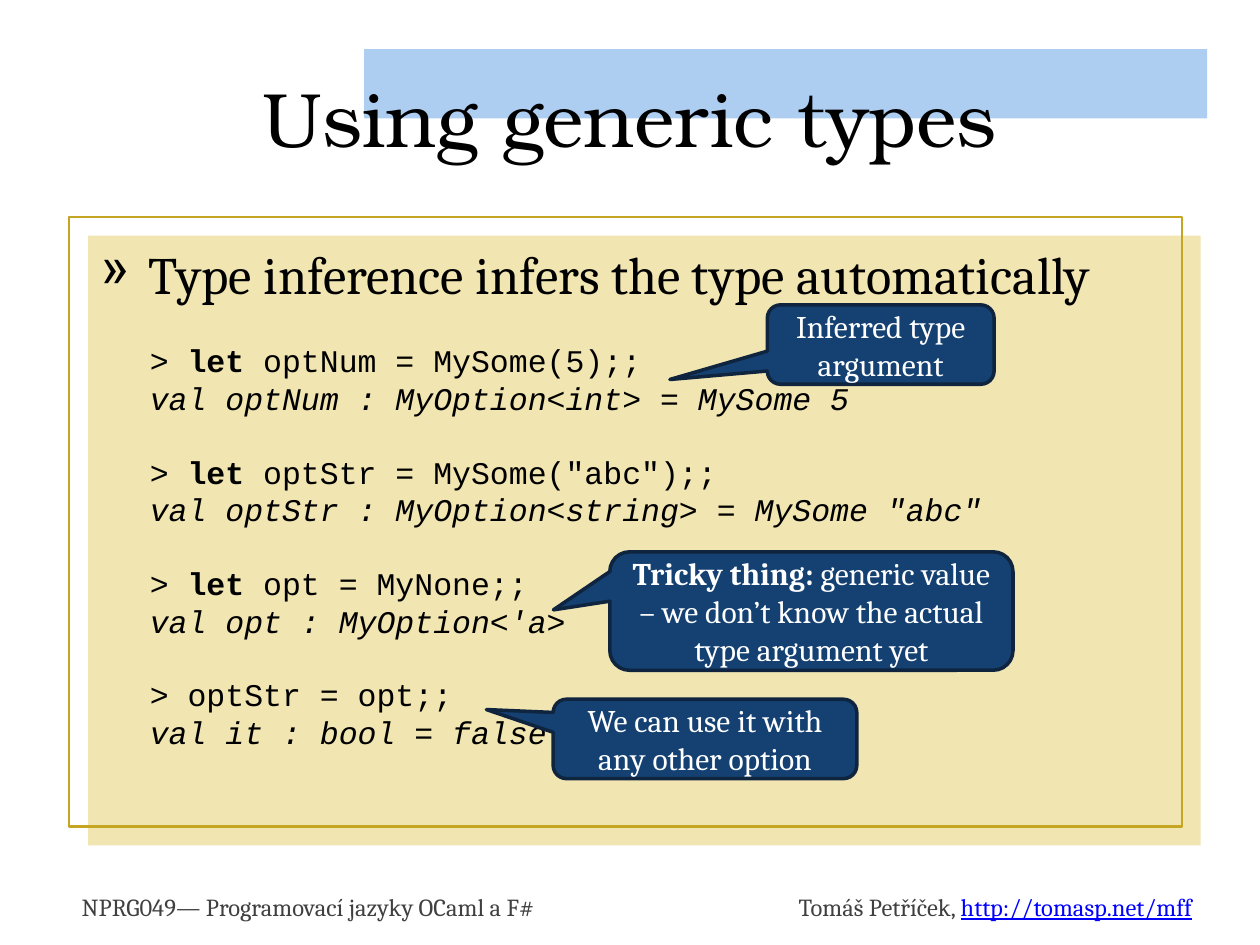
"""Build the slide on using generic types in F#."""
from dataclasses import dataclass

from lxml.etree import SubElement
from pptx import Presentation
from pptx.dml.color import RGBColor
from pptx.enum.shapes import MSO_SHAPE as Preset
from pptx.enum.text import MSO_ANCHOR as Anchor, MSO_AUTO_SIZE as AutoSize, PP_ALIGN as Align
from pptx.oxml.ns import qn
from pptx.util import Inches, Pt

SERIF = "Cambria"
MONO = "Courier New"
TITLE_FONT = "TeX Gyre Bonum"
BLACK, WHITE, GREY, LINK = "000000", "FFFFFF", "404040", "0000FF"
PALE_BLUE, NAVY, DARK_NAVY = "ADCDF1", "144172", "0F243E"
CREAM, GOLD = "F1E5B1", "C5A623"
CODE_LINE = 20.4


@dataclass
class Area:
    left: float
    top: float
    width: float
    height: float

    def inches(self) -> tuple:
        return tuple(Inches(v) for v in (self.left, self.top, self.width, self.height))


@dataclass
class Span:
    text: str
    bold: bool = False


@dataclass
class Callout:
    area: Area
    tip: tuple[float, float]
    spans: list[Span]


@dataclass
class Exchange:
    prompt: list[Span]
    reply: str


CALLOUTS = [
    Callout(Area(6.09, 2.42, 1.8, 0.63), (-0.93, 0.44), [Span("Inferred type argument")]),
    Callout(Area(4.84, 4.38, 3.2, 0.94), (-0.64, -0.01),
            [Span("Tricky thing: ", True),
             Span("generic value – we don’t know the actual type argument yet")]),
    Callout(Area(4.39, 5.55, 2.41, 0.63), (-0.72, -0.37),
            [Span("We can use it with any other option")]),
]


def binding(code: str) -> list[Span]:
    return [Span("> "), Span("let ", True), Span(code)]


SESSION = [
    Exchange(binding("optNum = MySome(5);;"), "val optNum : MyOption<int> = MySome 5"),
    Exchange(binding('optStr = MySome("abc");;'),
             'val optStr : MyOption<string> = MySome "abc"'),
    Exchange(binding("opt = MyNone;;"), "val opt : MyOption<'a>"),
    Exchange([Span("> optStr = opt;;")], "val it : bool = false"),
]


def color(value: str) -> RGBColor:
    return RGBColor.from_string(value)


def format_para(para, font: str, size: float, fill: str, align=Align.LEFT) -> None:
    para.alignment = align
    para.font.name = font
    para.font.size = Pt(size)
    para.font.color.rgb = color(fill)


def add_spans(para, spans: list[Span]) -> None:
    for span in spans:
        run = para.add_run()
        run.text = span.text
        if span.bold:
            run.font.bold = True


def add_box(page, area: Area):
    frame = page.shapes.add_textbox(*area.inches()).text_frame
    frame.word_wrap = True
    return frame


def add_panel(page, area: Area, fill: str = "", line: str = "",
              weight: float = 0, preset=Preset.RECTANGLE):
    shape = page.shapes.add_shape(preset, *area.inches())
    shape.shadow.inherit = False
    if fill:
        shape.fill.solid()
        shape.fill.fore_color.rgb = color(fill)
    else:
        shape.fill.background()
    if line:
        shape.line.color.rgb = color(line)
        shape.line.width = Pt(weight)
    else:
        shape.line.fill.background()
    return shape


def add_callout(page, callout: Callout) -> None:
    shape = add_panel(page, callout.area, NAVY, DARK_NAVY, 2,
                      Preset.ROUNDED_RECTANGULAR_CALLOUT)
    shape.adjustments[0], shape.adjustments[1] = callout.tip
    frame = shape.text_frame
    frame.word_wrap = True
    frame.vertical_anchor = Anchor.MIDDLE
    para = frame.paragraphs[0]
    format_para(para, SERIF, 18, WHITE, Align.CENTER)
    add_spans(para, callout.spans)


def add_footer(page) -> None:
    course = add_box(page, Area(0.55, 7.03, 4.45, 0.34)).paragraphs[0]
    format_para(course, SERIF, 14, GREY)
    course.text = "NPRG049— Programovací jazyky OCaml a F#"
    author = add_box(page, Area(5.16, 7.03, 4.4, 0.34)).paragraphs[0]
    format_para(author, SERIF, 14, GREY, Align.RIGHT)
    add_spans(author, [Span("Tomáš Petříček, "), Span("http://tomasp.net/mff")])
    address = author.runs[1].font
    address.color.rgb = color(LINK)
    address.underline = True


def add_bullet(page) -> None:
    para = add_box(page, Area(0.7, 1.87, 8.8, 0.7)).paragraphs[0]
    format_para(para, SERIF, 30, BLACK)
    para.text = "Type inference infers the type automatically"
    properties = para._p.get_or_add_pPr()
    properties.set("marL", str(Inches(0.38)))
    properties.set("indent", str(-Inches(0.38)))
    bullet = SubElement(properties, qn("a:buChar"))
    bullet.set("char", "»")
    properties.insert(0, bullet)


def add_session(page) -> None:
    frame = add_box(page, Area(1.09, 2.66, 7.42, 3.43))
    for index, exchange in enumerate(SESSION):
        prompt = frame.add_paragraph() if index else frame.paragraphs[0]
        format_para(prompt, MONO, 18, BLACK)
        prompt.space_before = Pt(CODE_LINE if index else 0)
        add_spans(prompt, exchange.prompt)
        reply = frame.add_paragraph()
        format_para(reply, MONO, 18, BLACK)
        reply.font.italic = True
        reply.text = exchange.reply


def set_title(page, text: str) -> None:
    title = page.shapes.title
    title.left, title.top, title.width, title.height = Area(0.5, 0.3, 9, 1.25).inches()
    frame = title.text_frame
    frame.text = text
    frame.auto_size = AutoSize.NONE
    frame.vertical_anchor = Anchor.MIDDLE
    format_para(frame.paragraphs[0], TITLE_FONT, 44, BLACK, Align.CENTER)
    title._element.getparent().append(title._element)


def main() -> None:
    deck = Presentation()
    deck.slide_width, deck.slide_height = Inches(10), Inches(7.5)
    page = deck.slides.add_slide(deck.slide_layouts.get_by_name("Title Only"))
    add_panel(page, Area(2.89, 0.39, 6.69, 0.55), fill=PALE_BLUE)
    add_panel(page, Area(0.7, 1.87, 8.83, 4.84), fill=CREAM)
    add_panel(page, Area(0.55, 1.72, 8.83, 4.84), line=GOLD, weight=1.25)
    add_footer(page)
    add_bullet(page)
    set_title(page, "Using generic types")
    add_session(page)
    for callout in CALLOUTS:
        add_callout(page, callout)
    deck.save("out.pptx")


if __name__ == "__main__":
    main()
